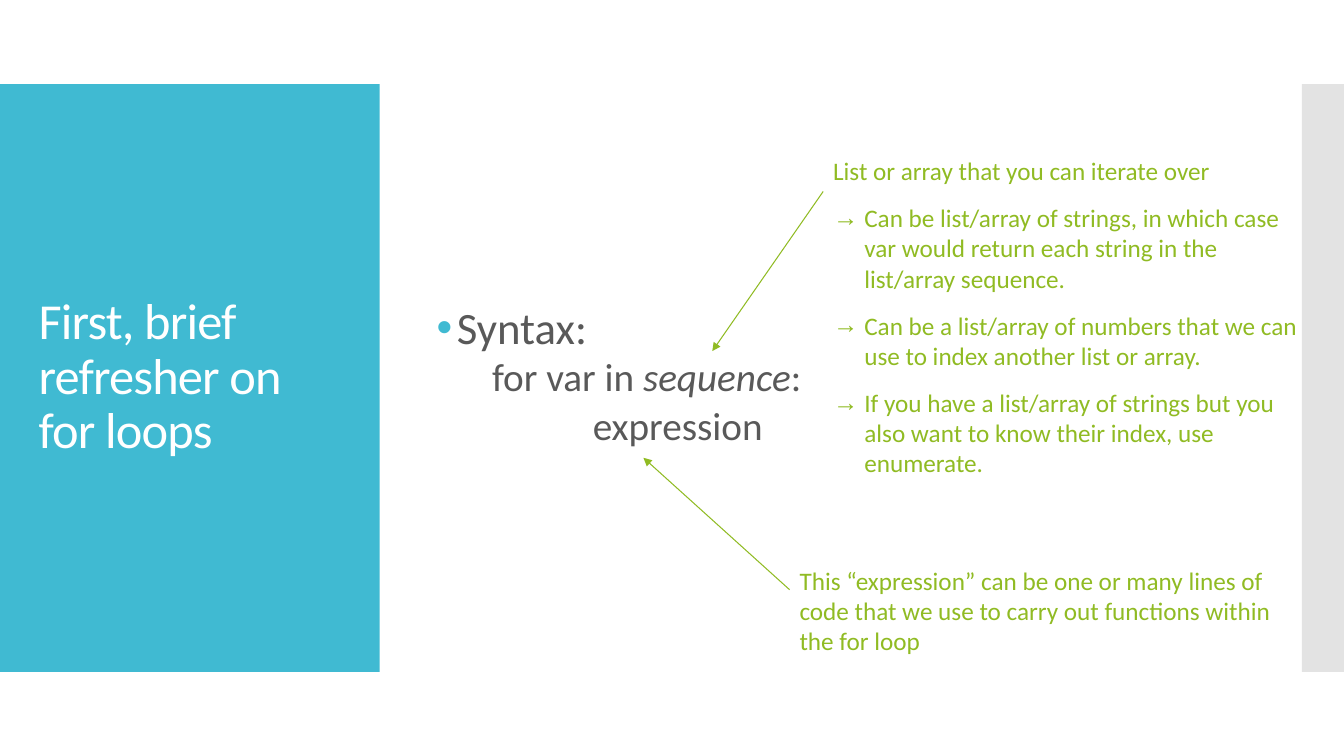
from lxml import etree
from pptx import Presentation, util as u
from pptx.dml import color
from pptx.enum import shapes, text
from pptx.oxml import ns

CELL = 1 / 12
COLS, ROWS = 160, 90
TEAL, GREEN, GRAY, SILVER, WHITE = "40BAD2", "90BB23", "595959", "C8C8C8", "FFFFFF"
LEFT = text.PP_ALIGN.LEFT
MID = text.MSO_ANCHOR.MIDDLE
NOTE = {"space_before": u.Pt(6), "space_after": u.Pt(6), "alignment": LEFT}
LINE = {"space_before": u.Pt(2.5), "space_after": u.Pt(2.5), "line_spacing": 0.9}
HEAD = {"space_before": u.Pt(12), "line_spacing": 0.9}


def cell(num):
    return u.Inches(num * CELL)


def tint(code):
    return color.RGBColor.from_string(code)


def put(item, vals):
    for name, val in vals.items():
        setattr(item, name, val)


def sub(node, tag, **vals):
    return etree.SubElement(node, ns.qn(tag), **vals)


def place(shape, box):
    put(shape, dict(zip(("left", "top", "width", "height"), map(cell, box))))


def block(slide, box, code, alpha=None):
    shape = slide.shapes.add_shape(shapes.MSO_SHAPE.RECTANGLE, *map(cell, box))
    shape.shadow.inherit = False
    shape.fill.solid()
    shape.fill.fore_color.rgb = tint(code)
    shape.line.fill.background()
    if alpha:
        fill = shape.fill.fore_color._xFill
        sub(fill[0], "a:alpha", val=str(alpha * 1000))
    slide.shapes._spTree.insert(2, shape._element)


def frame(slide, box, vals):
    area = slide.shapes.add_textbox(*map(cell, box)).text_frame
    put(area, {"word_wrap": True, **vals})
    return area


def write(para, runs, size, code, vals):
    put(para, vals)
    for words, slant in runs:
        run = para.add_run()
        run.text = words
        put(run.font, {"name": "Calibri", "size": u.Pt(size), "italic": slant})
        run.font.color.rgb = tint(code)


def indent(para, left, first, mark=None, code=None):
    props = para._p.get_or_add_pPr()
    props.set("marL", str(u.Inches(left)))
    props.set("indent", str(u.Inches(first)))
    if code:
        sub(sub(props, "a:buClr"), "a:srgbClr", val=code)
    if mark:
        sub(props, "a:buFont", typeface="Arial")
        sub(props, "a:buChar", char=mark)


def arrow(slide, start, end):
    line = slide.shapes.add_connector(
        shapes.MSO_CONNECTOR.STRAIGHT, *map(cell, start + end))
    line.line.color.rgb = tint(GREEN)
    line.line.width = u.Pt(0.75)
    sub(line.line._get_or_add_ln(), "a:tailEnd", type="triangle")
    sub(line._element.spPr, "a:effectLst")


def panel(slide, box):
    left, top, wide, high = box
    block(slide, box, TEAL)
    title = slide.shapes.title
    place(title, (left + 3.4, top + 4.8, wide - 6.6, high - 9.6))
    area = title.text_frame
    put(area, {"word_wrap": True, "vertical_anchor": MID,
               "auto_size": text.MSO_AUTO_SIZE.NONE})
    para = area.paragraphs[0]
    write(para, [("First, brief refresher on for loops", False)], 36, WHITE,
          {"alignment": LEFT, "line_spacing": 0.9})
    para.runs[0].font._element.set("spc", "-60")


def syntax(slide, box):
    area = frame(slide, box, {"vertical_anchor": MID})
    head = area.paragraphs[0]
    write(head, [("Syntax:", False)], 32, GRAY, HEAD)
    indent(head, 0.2, -0.2, "•", TEAL)
    loop = [("for var in ", False), ("sequence", True), (":", False)]
    for step, runs in enumerate((loop, [("expression", False)])):
        para = area.add_paragraph()
        write(para, runs, 28, GRAY, LINE)
        indent(para, 0.55 + step, 0)


def note(slide, box, lead, items, drop, end):
    area = frame(slide, box, {"auto_size": text.MSO_AUTO_SIZE.SHAPE_TO_FIT_TEXT})
    write(area.paragraphs[0], [(lead, False)], 18, GREEN, NOTE)
    for item in items:
        para = area.add_paragraph()
        write(para, [(item, False)], 18, GREEN, NOTE)
        indent(para, 0.31, -0.31, "→")
    arrow(slide, (box[0], box[1] + drop), end)


def build():
    deck = Presentation()
    put(deck, {"slide_width": cell(COLS), "slide_height": cell(ROWS)})
    slide = deck.slides.add_slide(deck.slide_layouts[5])
    panel(slide, (0, 10, 45.2, 70))
    block(slide, (COLS - 5, 10, 5, 70), SILVER, 50)
    syntax(slide, (50.8, 11.3, 96, 67.2))
    note(slide, (98, 17.9, 58.7, 40), "List or array that you can iterate over", [
        "Can be list/array of strings, in which case var would return each string "
        "in the list/array sequence.",
        "Can be a list/array of numbers that we can use to index another list or array.",
        "If you have a list/array of strings but you also want to know their index, "
        "use enumerate.",
    ], 4.9, (84.8, 41.8))
    note(slide, (94, 66.7, 58.7, 12.1),
         "This “expression” can be one or many lines of code that we use to carry out "
         "functions within the for loop", [], 3.5, (76.6, 54.5))
    deck.save("out.pptx")


if __name__ == "__main__":
    build()
